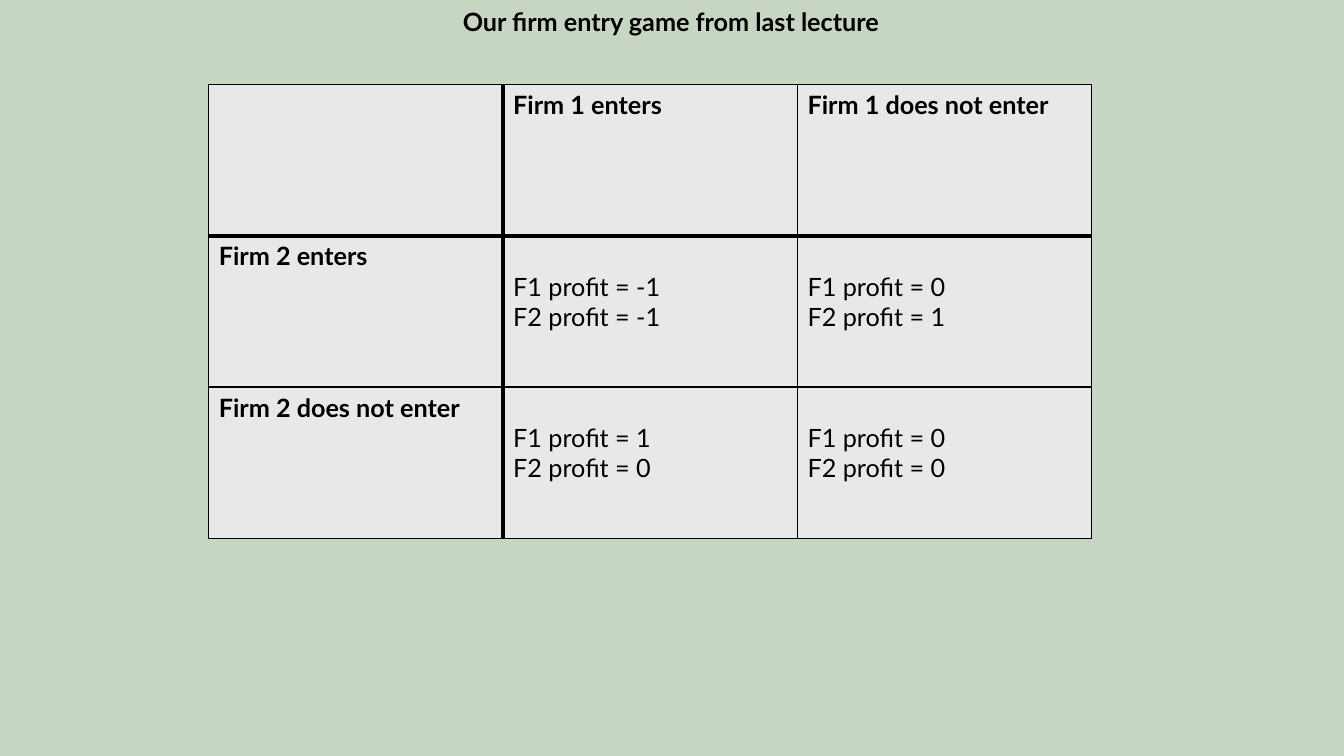
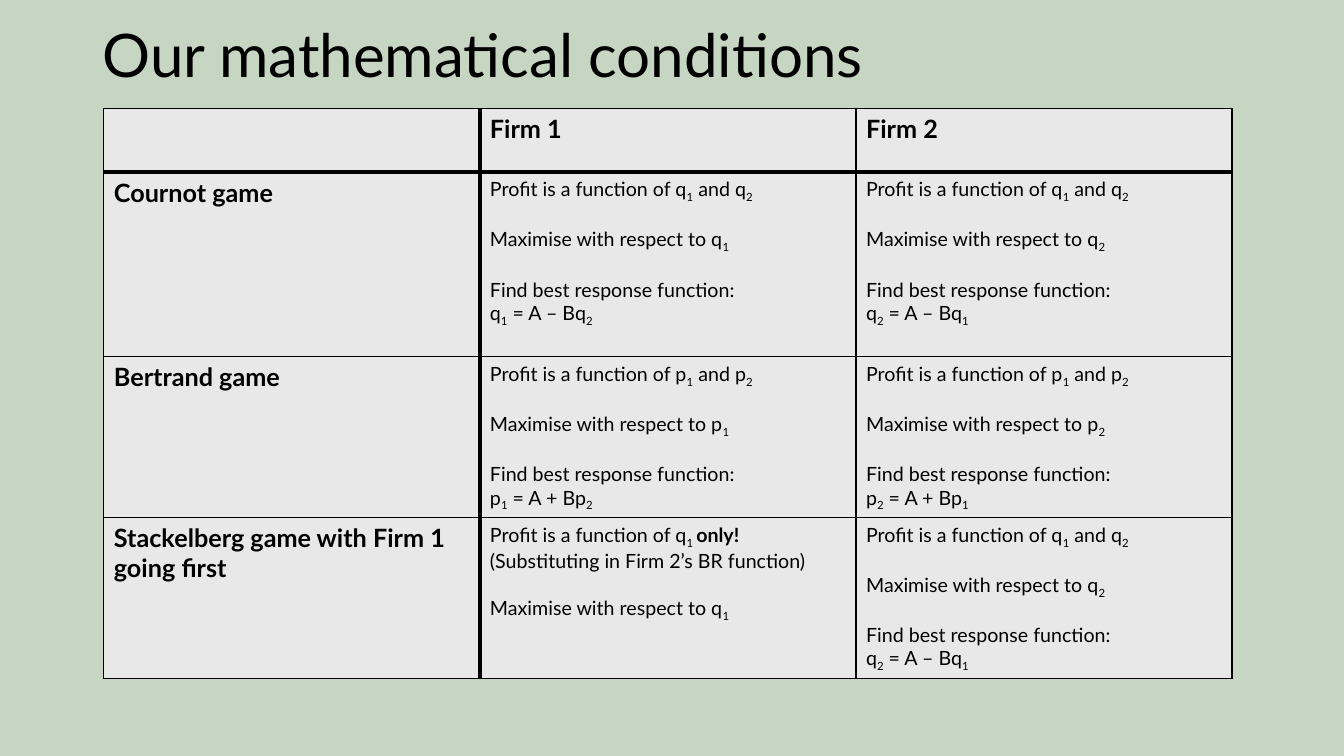
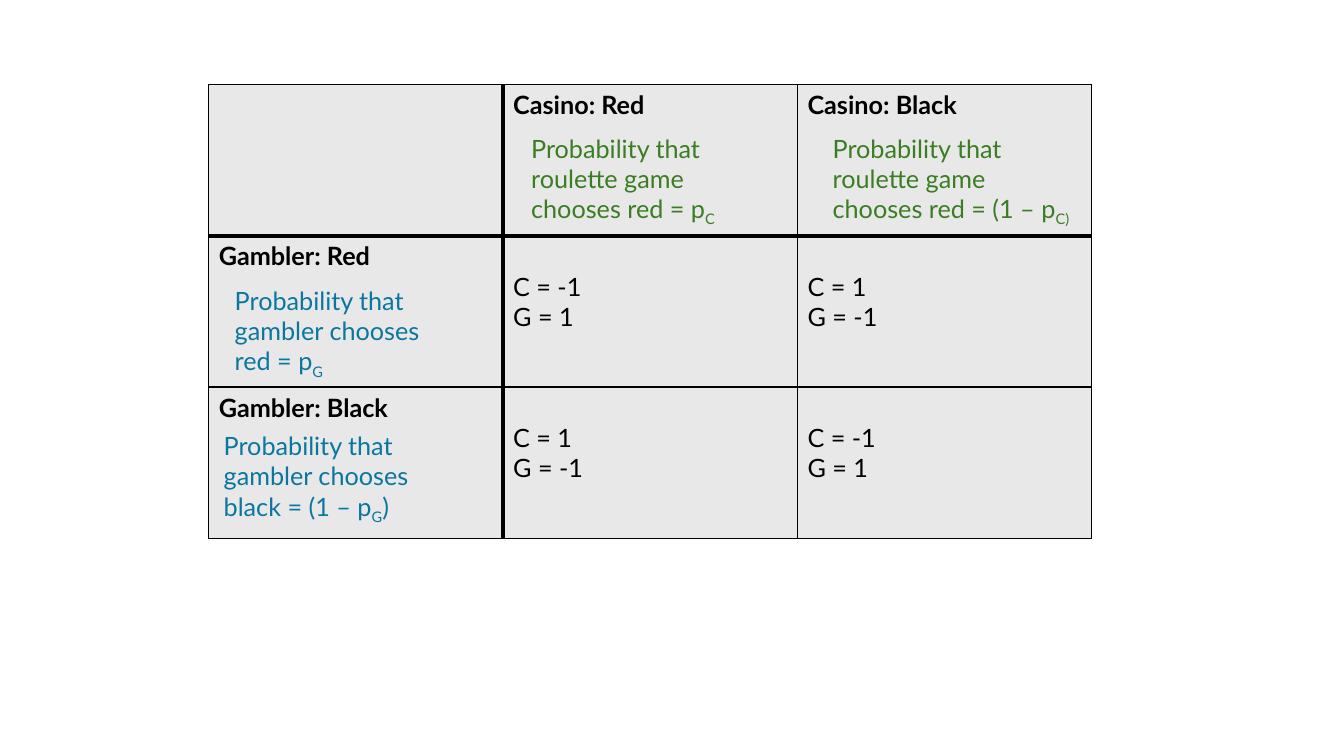
from lxml.etree import SubElement
from pptx import Presentation
from pptx.dml.color import RGBColor
from pptx.enum.text import MSO_ANCHOR, PP_ALIGN
from pptx.oxml.ns import qn
from pptx.util import Inches, Pt

SAGE = RGBColor(0xC7, 0xD6, 0xC2)
WHITE = RGBColor(0xFF, 0xFF, 0xFF)
BLACK = RGBColor(0x00, 0x00, 0x00)
GREY = RGBColor(0xE8, 0xE8, 0xE8)
BLUE = RGBColor(0x0B, 0x76, 0xA0)
GREEN = RGBColor(0x3B, 0x7D, 0x23)

FONT = "Lato"
THIN, THICK = 1, 3


class Deck:
    def __init__(self):
        self.prs = Presentation()
        self.prs.slide_width = Inches(13.33)
        self.prs.slide_height = Inches(7.5)

    def slide(self, background):
        self.s = self.prs.slides.add_slide(self.prs.slide_layouts[6])
        fill = self.s.background.fill
        fill.solid()
        fill.fore_color.rgb = background

    def runs(self, p, text, size, color, bold):
        for i, part in enumerate(text.split("*")):
            for j, piece in enumerate(part.split("~")):
                if not piece:
                    continue
                r = p.add_run()
                r.text = piece
                style = {"name": FONT, "size": Pt(size), "bold": bold or i % 2 == 1}
                for name, value in style.items():
                    setattr(r.font, name, value)
                r.font.color.rgb = color
                if j % 2:
                    r.font._element.set("baseline", "-25000")

    def paragraphs(self, tf, text, size=18, color=BLACK, bold=False, **layout):
        p, gap = tf.paragraphs[0], False
        for i, line in enumerate(text.split("\n")):
            if not line:
                gap = True
                continue
            if i:
                p = tf.add_paragraph()
            if gap:
                p.space_before = Pt(size * 1.2)
            gap = False
            for name, value in layout.items():
                setattr(p, name, value)
            self.runs(p, line, size, color, bold)

    def text(self, box, text, anchor=MSO_ANCHOR.TOP, **style):
        tf = self.s.shapes.add_textbox(*map(Inches, box)).text_frame
        tf.word_wrap = True
        tf.vertical_anchor = anchor
        self.paragraphs(tf, text, **style)

    def borders(self, cell, widths):
        tcPr = cell._tc.get_or_add_tcPr()
        for side, width in zip("LRTB", widths):
            ln = SubElement(tcPr, qn(f"a:ln{side}"), w=str(Pt(width)))
            fill = SubElement(ln, qn("a:solidFill"))
            SubElement(fill, qn("a:srgbClr"), val=str(BLACK))

    def table(self, left, top, col_width, heights, rows, size=18, pad=0.05):
        cols = len(rows[0])
        table = self.s.shapes.add_table(
            len(rows), cols, Inches(left), Inches(top),
            Inches(col_width * cols), Inches(sum(heights))).table
        table.first_row = table.horz_banding = False
        for col in table.columns:
            col.width = Inches(col_width)
        for i, (height, row) in enumerate(zip(heights, rows)):
            table.rows[i].height = Inches(height)
            for j, text in enumerate(row):
                cell = table.cell(i, j)
                self.borders(cell, [
                    THICK if j == 1 else THIN, THICK if j == 0 else THIN,
                    THICK if i == 1 else THIN, THICK if i == 0 else THIN])
                cell.fill.solid()
                cell.fill.fore_color.rgb = GREY
                head = i == 0 or j == 0
                cell.margin_top = Inches(0.05 if head else pad)
                self.paragraphs(cell.text_frame, text, 18 if head else size, bold=head)

    def payoffs(self, rows):
        self.table(2.07, 0.84, 2.92, [1.5] * 3, rows, pad=0.35)


def conditions(var, own, other, sign):
    return (f"Profit is a function of {var}~1~ and {var}~2~\n\n"
            f"Maximise with respect to {var}~{own}~\n\n"
            f"Find best response function:\n"
            f"{var}~{own}~ = A {sign} B{var}~{other}~")


def main():
    deck = Deck()

    deck.slide(SAGE)
    deck.payoffs([
        ["", "Firm 1 enters", "Firm 1 does not enter"],
        ["Firm 2 enters", "F1 profit = -1\nF2 profit = -1", "F1 profit = 0\nF2 profit = 1"],
        ["Firm 2 does not enter", "F1 profit = 1\nF2 profit = 0", "F1 profit = 0\nF2 profit = 0"],
    ])
    deck.text((0.08, 0.01, 13.15, 0.4), "Our firm entry game from last lecture",
              bold=True, alignment=PP_ALIGN.CENTER)

    deck.slide(SAGE)
    deck.text((0.92, 0.2, 11.5, 0.76), "Our mathematical conditions",
              MSO_ANCHOR.MIDDLE, size=42.9, line_spacing=0.9)
    leader = ("Profit is a function of q~1 ~*only!*\n"
              "(Substituting in Firm 2’s BR function)\n\n"
              "Maximise with respect to q~1~")
    deck.table(1.03, 1.08, 3.73, [0.63, 1.83, 1.59, 1.59], [
        ["", "Firm 1", "Firm 2"],
        ["Cournot game", conditions("q", 1, 2, "–"), conditions("q", 2, 1, "–")],
        ["Bertrand game", conditions("p", 1, 2, "+"), conditions("p", 2, 1, "+")],
        ["Stackelberg game with Firm 1 going first", leader, conditions("q", 2, 1, "–")],
    ], size=14)

    deck.slide(WHITE)
    deck.payoffs([
        ["", "Casino: Red", "Casino: Black"],
        ["Gambler: Red", "C = -1\nG = 1", "C = 1\nG = -1"],
        ["Gambler: Black", "C = 1\nG = -1", "C = -1\nG = 1"],
    ])
    for left, top, width, color, text in [
        (2.23, 2.78, 2.3, BLUE, "gambler chooses red = p~G~"),
        (2.12, 4.22, 2.52, BLUE, "gambler chooses black = (1 – p~G~)"),
        (5.17, 1.27, 2.3, GREEN, "roulette game chooses red = p~C~"),
        (8.16, 1.27, 2.58, GREEN, "roulette game chooses red = (1 – p~C)~"),
    ]:
        deck.text((left, top, width, 1.01), f"Probability that {text}", color=color)

    deck.prs.save("out.pptx")


if __name__ == "__main__":
    main()
